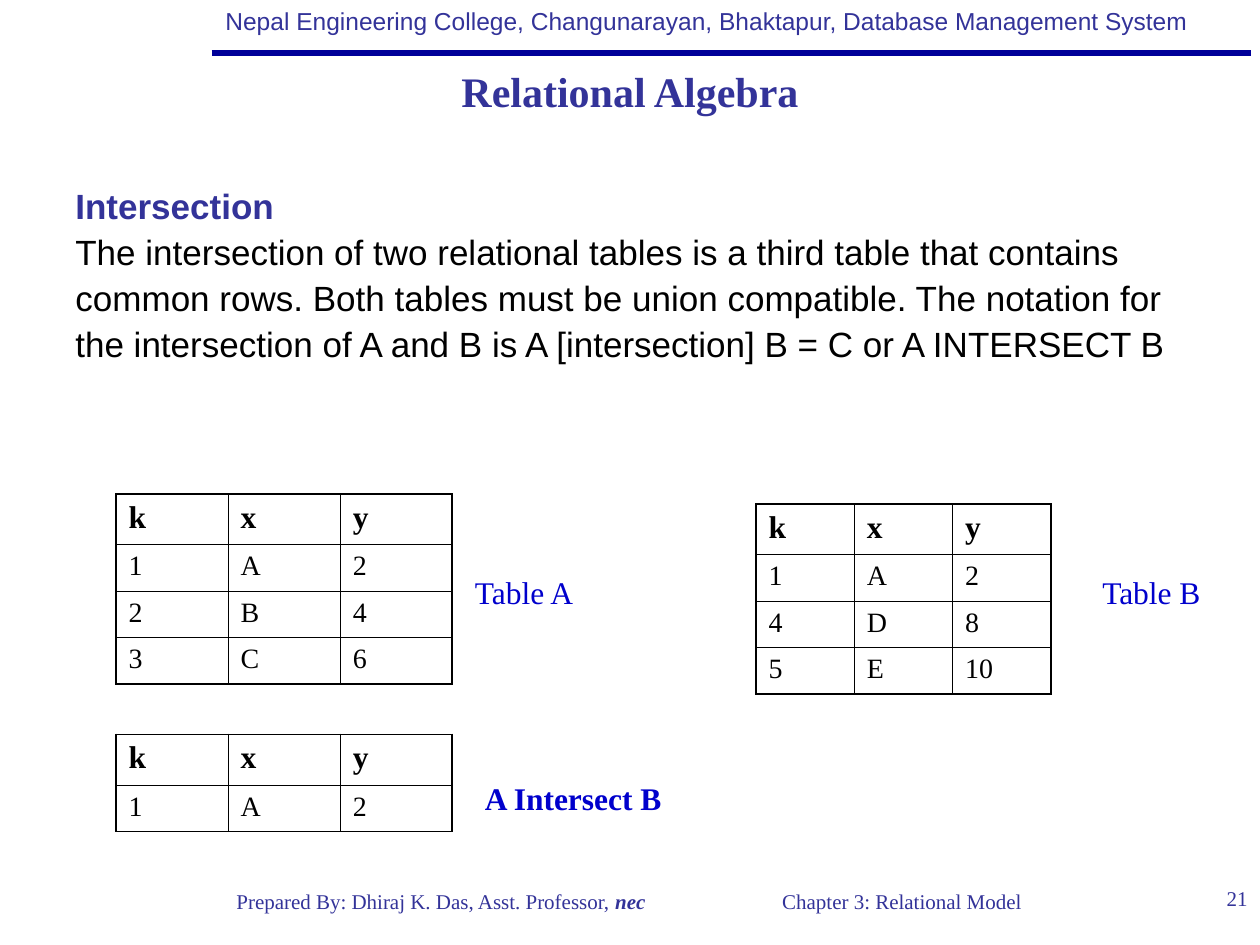
from lxml import etree
from pptx import Presentation
from pptx.dml.color import RGBColor
from pptx.enum.shapes import MSO_CONNECTOR
from pptx.enum.text import MSO_ANCHOR, MSO_AUTO_SIZE, PP_ALIGN
from pptx.oxml.ns import qn
from pptx.util import Inches, Pt

LEFT, CENTER, RIGHT = PP_ALIGN.LEFT, PP_ALIGN.CENTER, PP_ALIGN.RIGHT
GROW, FIXED = MSO_AUTO_SIZE.SHAPE_TO_FIT_TEXT, MSO_AUTO_SIZE.NONE
MIDDLE = MSO_ANCHOR.MIDDLE
STRAIGHT = MSO_CONNECTOR.STRAIGHT

COLORS = {"rule": "000099", "heading": "333399", "label": "0000CC", "text": "000000"}
SANS, SERIF = "Arial", "Times New Roman"
OUTER, INNER = 1.08, 0.45  # table border widths in points


def style(paragraph, size, face, color, bold=False):
    for run in paragraph.runs:
        run.font.size = Pt(size)
        run.font.name = face
        run.font.bold = bold
        run.font.color.rgb = RGBColor.from_string(COLORS[color])


def add_text(box, text, size, face, color, bold=False, align=LEFT, wrap=False, fit=GROW):
    frame = slide.shapes.add_textbox(*[Inches(v) for v in box]).text_frame
    frame.word_wrap = wrap
    frame.auto_size = fit
    frame.text = text
    for paragraph in frame.paragraphs:
        paragraph.alignment = align
        style(paragraph, size, face, color, bold)
    return frame


prs = Presentation()
prs.slide_width, prs.slide_height = Inches(10), Inches(7.5)
slide = prs.slides.add_slide(prs.slide_layouts[5])

# Header
rule = slide.shapes.add_connector(
    STRAIGHT, Inches(1.68), Inches(0.42), Inches(9.93), Inches(0.42))
rule.line.color.rgb = RGBColor.from_string(COLORS["rule"])
rule.line.width = Pt(3)
etree.SubElement(rule._element.spPr, qn("a:effectLst"))
add_text((1.69, 0, 7.85, 0.34),
         "Nepal Engineering College, Changunarayan, Bhaktapur, Database Management System",
         14, SANS, "heading")

# Title
title = slide.shapes.title
title.left, title.top = Inches(0), Inches(0.43)
title.width, title.height = Inches(10), Inches(0.58)
title.text_frame.text = "Relational Algebra"
title.text_frame.vertical_anchor = MIDDLE
title.text_frame.paragraphs[0].alignment = CENTER
style(title.text_frame.paragraphs[0], 24, SERIF, "heading", bold=True)

# Definition
definition = add_text(
    (0.33, 1.38, 9.17, 1.57),
    "Intersection\n"
    "The intersection of two relational tables is a third table that contains common rows. "
    "Both tables must be union compatible. The notation for the intersection of A and B is "
    "A [intersection] B = C or A INTERSECT B",
    20, SANS, "text", wrap=True)
for paragraph in definition.paragraphs:
    paragraph.line_spacing = 1.1
    paragraph._p.get_or_add_pPr().set("marL", str(Inches(0.17)))
style(definition.paragraphs[0], 20, SANS, "heading", bold=True)

# Relations: left, top, column width, rows
HEADER = ("k", "x", "y")
relations = [
    (0.92, 3.92, 0.89, [HEADER, ("1", "A", "2"), ("2", "B", "4"), ("3", "C", "6")]),
    (6, 4, 0.78, [HEADER, ("1", "A", "2"), ("4", "D", "8"), ("5", "E", "10")]),
    (0.92, 5.83, 0.89, [HEADER, ("1", "A", "2")]),
]
for left, top, col_width, rows in relations:
    last_row, last_col = len(rows) - 1, len(HEADER) - 1
    table = slide.shapes.add_table(
        len(rows), len(HEADER), Inches(left), Inches(top),
        Inches(col_width * len(HEADER)), Inches(0.4 + 0.37 * last_row)).table
    table.first_row = table.horz_banding = False
    for column in table.columns:
        column.width = Inches(col_width)
    for r, values in enumerate(rows):
        table.rows[r].height = Inches(0.37 if r else 0.4)
        for c, value in enumerate(values):
            cell = table.cell(r, c)
            cell.text_frame.text = value
            style(cell.text_frame.paragraphs[0], 16 if r else 18, SERIF, "text", bold=r == 0)
            # Thicker border around the outside
            edges = {"lnL": c == 0, "lnR": c == last_col, "lnT": r == 0, "lnB": r == last_row}
            for tag, is_outer in edges.items():
                border = etree.SubElement(cell._tc.get_or_add_tcPr(), qn("a:" + tag),
                                          w=str(Pt(OUTER if is_outer else INNER)))
                fill = etree.SubElement(border, qn("a:solidFill"))
                etree.SubElement(fill, qn("a:srgbClr"), val=COLORS["text"])
            cell.fill.background()

# Relation labels
for box, label, bold in [((3.67, 4.5, 1.01, 0.4), "Table A", False),
                         ((8.65, 4.5, 1, 0.4), "Table B", False),
                         ((3.75, 6.13, 1.61, 0.4), "A Intersect B", True)]:
    add_text(box, label, 18, SERIF, "label", bold)

# Footer
author = add_text((1.42, 7, 4.16, 0.5), "Prepared By: Dhiraj K. Das, Asst. Professor, ",
                  12, SERIF, "heading", align=CENTER, fit=FIXED).paragraphs[0]
author.add_run().text = "nec"
style(author, 12, SERIF, "heading")
author.runs[1].font.bold = author.runs[1].font.italic = True
add_text((5.08, 7, 4.16, 0.5), "Chapter 3: Relational Model",
         12, SERIF, "heading", align=CENTER, fit=FIXED)
add_text((9.42, 6.98, 0.58, 0.5), "21", 12, SERIF, "heading",
         align=RIGHT, wrap=True, fit=FIXED)

prs.save("out.pptx")
